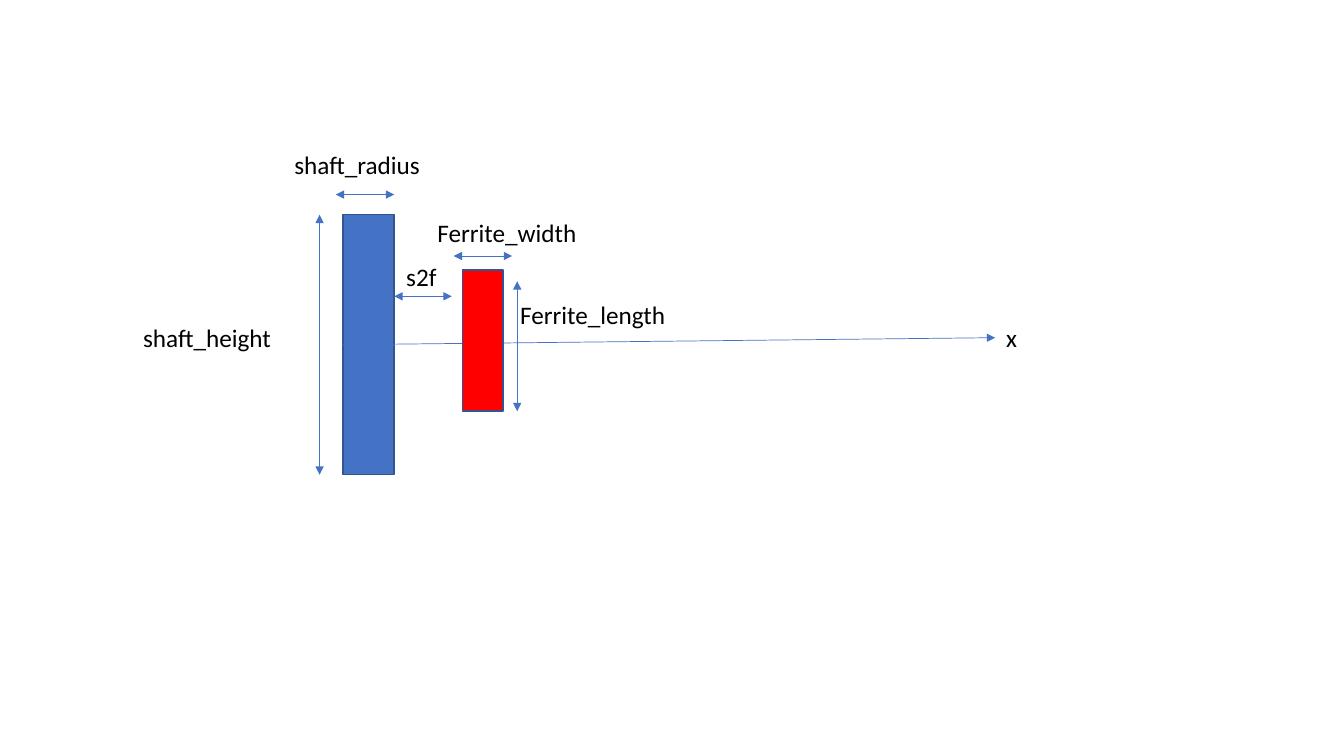
from dataclasses import dataclass

from pptx import Presentation
from pptx.dml.color import RGBColor
from pptx.enum.shapes import MSO_CONNECTOR, MSO_SHAPE
from pptx.enum.text import MSO_AUTO_SIZE
from pptx.oxml.ns import qn
from pptx.util import Inches, Pt
from lxml import etree

STRAIGHT = MSO_CONNECTOR.STRAIGHT
RECT = MSO_SHAPE.RECTANGLE
GROW = MSO_AUTO_SIZE.SHAPE_TO_FIT_TEXT
LEFT_SIDE = 1


@dataclass(frozen=True)
class Theme:
    font: str = "Calibri"
    text_size: float = 18
    text: str = "000000"
    shaft: str = "4472C4"
    ferrite: str = "FF0000"
    outline: str = "325491"
    arrow: str = "4472C4"
    outline_width: float = 1
    arrow_width: float = 0.5


def write(tf, text, *, font, size, color):
    r = tf.paragraphs[0].add_run()
    r.text = text
    r.font.name = font
    r.font.size = Pt(size)
    r.font.color.rgb = RGBColor.from_string(color)


class Diagram:
    def __init__(self, slide, theme):
        self.s = slide
        self.theme = theme

    def block(self, x, y, w, h, fill):
        sp = self.s.shapes.add_shape(RECT, Inches(x), Inches(y), Inches(w), Inches(h))
        sp.shadow.inherit = False
        sp.fill.solid()
        sp.fill.fore_color.rgb = RGBColor.from_string(fill)
        sp.line.color.rgb = RGBColor.from_string(self.theme.outline)
        sp.line.width = Pt(self.theme.outline_width)
        return sp

    def label(self, text, x, y, w, h=0.4):
        sp = self.s.shapes.add_textbox(Inches(x), Inches(y), Inches(w), Inches(h))
        tf = sp.text_frame
        tf.word_wrap = True
        tf.auto_size = GROW
        t = self.theme
        write(tf, text, font=t.font, size=t.text_size, color=t.text)

    def arrow(self, x1, y1, x2, y2, both=True):
        sp = self.s.shapes.add_connector(
            STRAIGHT, Inches(x1), Inches(y1), Inches(x2), Inches(y2))
        sp.line.color.rgb = RGBColor.from_string(self.theme.arrow)
        sp.line.width = Pt(self.theme.arrow_width)
        ln = sp.line._get_or_add_ln()
        for end in ("a:headEnd", "a:tailEnd") if both else ("a:tailEnd",):
            etree.SubElement(ln, qn(end), type="triangle")
        etree.SubElement(sp._element.spPr, qn("a:effectLst"))
        return sp


def main():
    prs = Presentation()
    prs.slide_width, prs.slide_height = Inches(13.33), Inches(7.5)
    theme = Theme()
    d = Diagram(prs.slides.add_slide(prs.slide_layouts[6]), theme)

    # Shaft, x axis, and the ferrite in front of the axis
    shaft = d.block(3.4, 2.13, 0.51, 2.58, theme.shaft)
    axis = d.arrow(3.4, 3.42, 9.87, 3.35, both=False)
    axis.begin_connect(shaft, LEFT_SIDE)
    d.block(4.59, 2.68, 0.4, 1.4, theme.ferrite)

    # Dimension arrows: shaft height and radius, gap, ferrite length and width
    for ends in [
        (3.17, 2.13, 3.17, 4.71),
        (3.91, 1.93, 3.33, 1.93),
        (4.48, 2.94, 3.91, 2.94),
        (5.13, 2.79, 5.13, 4.08),
        (5.08, 2.54, 4.5, 2.54),
    ]:
        d.arrow(*ends)

    # Labels
    for text, x, y, w in [
        ("shaft_height", 1.32, 3.15, 1.61),
        ("shaft_radius", 2.82, 1.43, 1.61),
        ("x", 9.88, 3.15, 0.81),
        ("s2f", 3.93, 2.54, 1.61),
        ("Ferrite_length", 5.06, 2.92, 1.79),
        ("Ferrite_width", 4.24, 2.11, 1.79),
    ]:
        d.label(text, x, y, w)

    prs.save("out.pptx")


if __name__ == "__main__":
    main()
